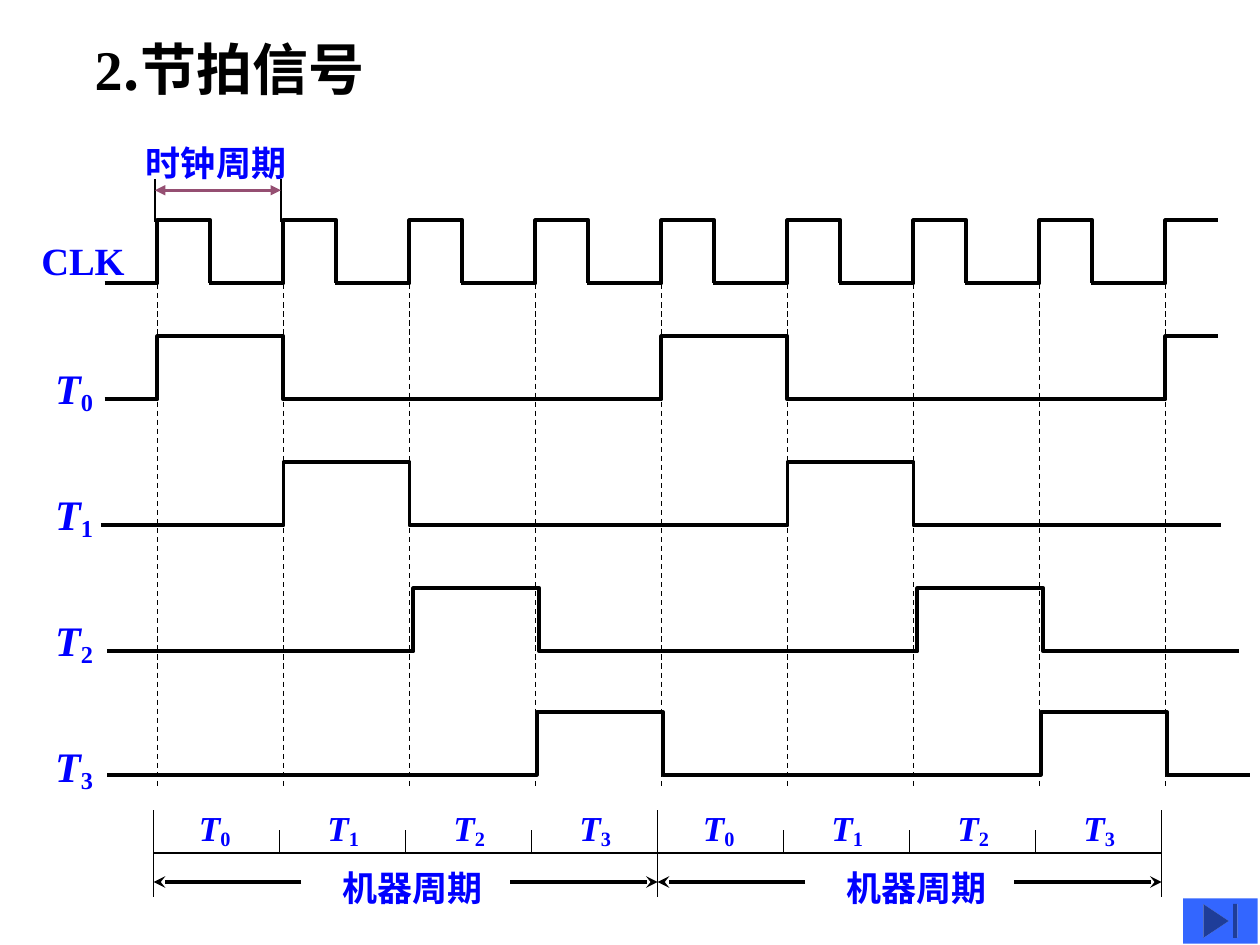
from dataclasses import dataclass
from lxml.etree import SubElement
from pptx import Presentation
from pptx.dml.color import RGBColor
from pptx.enum.dml import MSO_LINE
from pptx.enum.shapes import MSO_CONNECTOR, MSO_SHAPE
from pptx.enum.text import MSO_ANCHOR, MSO_AUTO_SIZE, PP_ALIGN
from pptx.oxml.ns import qn
from pptx.util import Inches, Pt


@dataclass(frozen=True)
class Theme:
    ink: str = "000000"
    label: str = "0000FF"
    span: str = "954F72"
    button: str = "3366FF"
    latin: str = "Times New Roman"
    asian: str = "Noto Sans CJK SC"
    title: int = 32
    signal: int = 24
    clock: int = 22
    small: int = 20
    thick: float = 2.25
    medium: float = 1.5
    thin: float = 0.75


class Board:
    def __init__(self, deck, theme):
        self.theme = theme
        self.cell = deck.slide_width / 10
        self.slide = deck.slides.add_slide(deck.slide_layouts[5])
        self.shapes = self.slide.shapes

    def grid(self, *cells):
        return [round(cell * self.cell) for cell in cells]

    def font(self, para, size, color):
        font = para.font
        font.name, font.size, font.bold = self.theme.latin, Pt(size), True
        font.color.rgb = RGBColor.from_string(color)
        base = para._p.pPr.find(qn("a:defRPr"))
        SubElement(base, qn("a:ea")).set("typeface", self.theme.asian)

    def title(self, lead, rest, box):
        shape = self.shapes.title
        shape.left, shape.top, shape.width, shape.height = self.grid(*box)
        frame = shape.text_frame
        frame.vertical_anchor = MSO_ANCHOR.TOP
        para = frame.paragraphs[0]
        para.alignment = PP_ALIGN.LEFT
        self.font(para, self.theme.title, self.theme.ink)
        para.add_run().text = lead
        tail = para.add_run()
        tail.text = rest
        tail.font.name = self.theme.asian

    def text(self, words, box, size, sub=None):
        frame = self.shapes.add_textbox(*self.grid(*box)).text_frame
        frame.word_wrap = False
        frame.auto_size = MSO_AUTO_SIZE.SHAPE_TO_FIT_TEXT
        para = frame.paragraphs[0]
        self.font(para, size, self.theme.label)
        run = para.add_run()
        run.text = words
        if sub is not None:
            run.font.italic = True
            low = para.add_run()
            low.text = str(sub)
            low._r.get_or_add_rPr().set("baseline", "-15000")

    def line(self, start, end, width, color=None, dash=None, head=None, tail=None):
        link = self.shapes.add_connector(MSO_CONNECTOR.STRAIGHT, *self.grid(*start, *end))
        link.line.width = Pt(width)
        link.line.color.rgb = RGBColor.from_string(color or self.theme.ink)
        if dash:
            link.line.dash_style = dash
        props = link._element.spPr
        for tag, kind in (("a:headEnd", head), ("a:tailEnd", tail)):
            if kind:
                SubElement(props.find(qn("a:ln")), qn(tag)).set("type", kind)
        SubElement(props, qn("a:effectLst"))

    def wave(self, low, start, edges, end):
        level, points = low, []
        for edge in edges:
            points.append(self.grid(edge, level))
            level = low - 0.5 if level == low else low
            points.append(self.grid(edge, level))
        points.append(self.grid(end, level))
        path = self.shapes.build_freeform(*self.grid(start, low))
        path.add_line_segments(points, close=False)
        shape = path.convert_to_shape()
        shape.shadow.inherit = False
        shape.fill.background()
        shape.line.width = Pt(self.theme.thick)
        shape.line.color.rgb = RGBColor.from_string(self.theme.ink)

    def button(self, box):
        shape = self.shapes.add_shape(MSO_SHAPE.ACTION_BUTTON_END, *self.grid(*box))
        shape.shadow.inherit = False
        shape.fill.solid()
        shape.fill.fore_color.rgb = RGBColor.from_string(self.theme.button)
        shape.line.fill.background()


def main():
    deck = Presentation()
    deck.slide_width, deck.slide_height = Inches(10), Inches(7.5)
    theme = Theme()
    board = Board(deck, theme)
    board.title("2", ".节拍信号", (0.65, 0.22, 3.93, 0.64))

    signals = [
        (3.17, 0.83, (1.25, 2.25, 5.25, 6.25, 9.25), 9.67),
        (4.17, 0.8, (2.25, 3.25, 6.25, 7.25), 9.69),
        (5.17, 0.85, (3.28, 4.28, 7.28, 8.28), 9.83),
        (6.15, 0.85, (4.26, 5.26, 8.26, 9.26), 9.92),
    ]
    for signal in signals:
        board.wave(*signal)
    board.text("CLK", (0.23, 1.83, 0.86, 0.47), theme.clock)
    for row in range(4):
        board.text("T", (0.34, 2.83 + row, 0.5, 0.52), theme.signal, row)

    for tick in range(9):
        rise, fall = tick + 1.25, tick + 1.67
        edges = (rise, fall) if tick < 8 else (rise,)
        board.wave(2.25, tick + 0.66 if tick else 0.83, edges, fall)
    for tick in range(9):
        board.line((tick + 1.25, 1.97), (tick + 1.25, 6.25), theme.thin, dash=MSO_LINE.DASH)

    for side in (1.23, 2.23):
        board.line((side, 1.42), (side, 1.76), theme.medium)
    board.line((1.23, 1.51), (2.23, 1.51), theme.medium, theme.span,
               head="triangle", tail="triangle")
    board.text("时钟周期", (1.06, 1.07, 1.31, 0.44), theme.small)

    board.line((1.22, 6.77), (9.22, 6.77), theme.thin)
    for tick in range(9):
        top, end = (6.59, 6.77) if tick % 4 else (6.43, 7.12)
        board.line((tick + 1.22, top), (tick + 1.22, end), theme.thin)
    for left in (1.22, 5.22):
        board.line((left + 2.83, 7), (left + 4, 7), theme.thick, tail="stealth")
        board.line((left + 1.17, 7), (left, 7), theme.thick, tail="stealth")
        board.text("机器周期", (left + 1.4, 6.83, 1.31, 0.44), theme.small)
    for tick in range(8):
        left = tick + (1.5 if tick % 4 else 1.48)
        board.text("T", (left, 6.35, 0.45, 0.45), theme.small, tick % 4)

    board.button((9.39, 7.13, 0.59, 0.36))
    deck.save("out.pptx")


if __name__ == "__main__":
    main()
